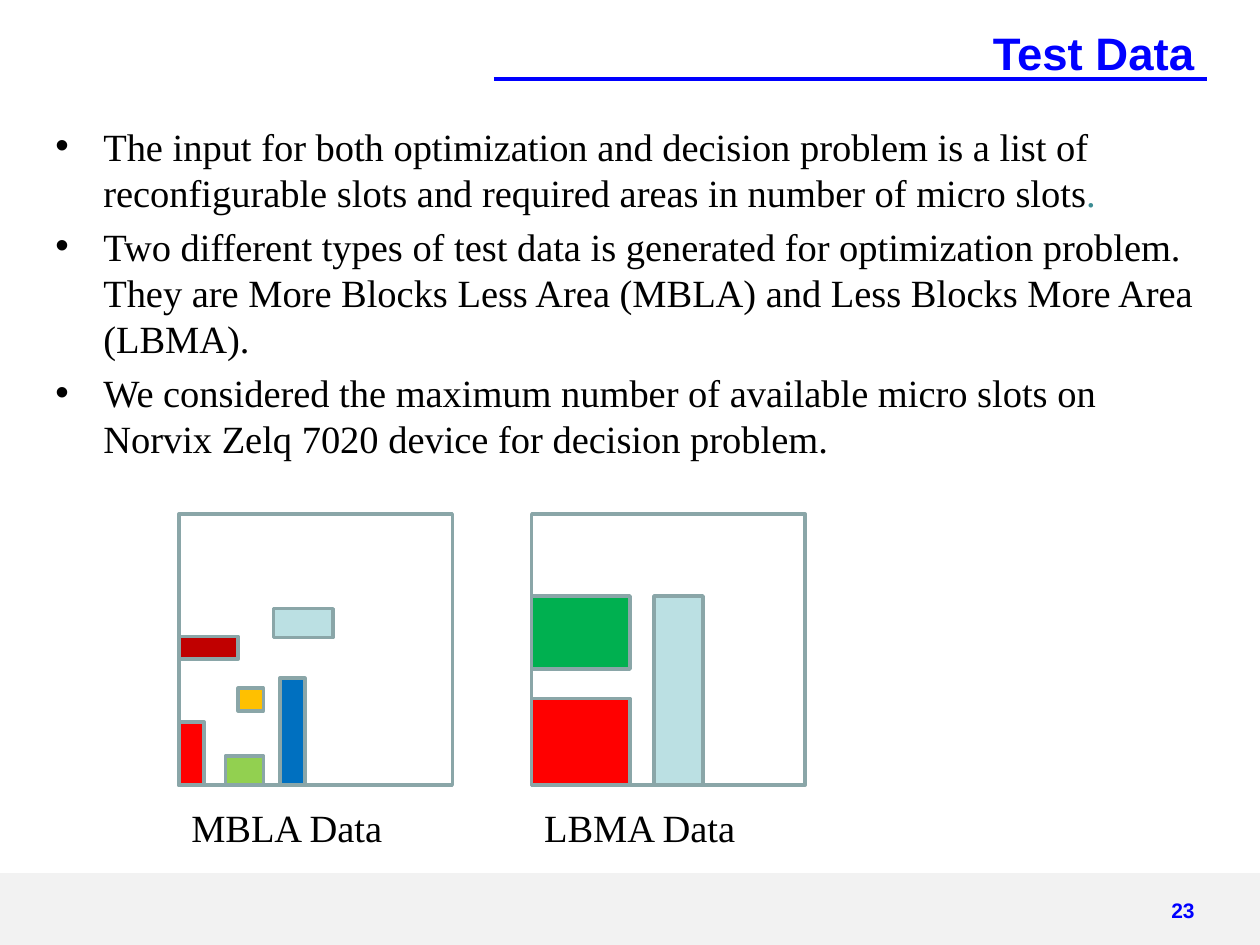
from collections import namedtuple

from lxml import etree
from pptx import Presentation
from pptx import util as u
from pptx.dml.color import RGBColor
from pptx.enum import shapes, text
from pptx.oxml.ns import qn

Box = namedtuple("Box", "left top width height")
SLIDE = Box(0, 0, u.Inches(10), u.Inches(7.5))

COLOURS = {
    "blue": "0000FF", "black": "000000", "teal": "3C8C93", "band": "F2F2F2",
    "outline": "8AA6A8", "red": "FF0000", "lime": "92D050", "amber": "FFC000",
    "azure": "0070C0", "maroon": "C00000", "pale": "BBE0E3", "green": "00B050",
}
HEADING = {"name": "Arial", "size": u.Pt(26), "bold": True}
NUMBER = {**HEADING, "size": u.Pt(12)}
PROSE = {"name": "Times New Roman", "size": u.Pt(22)}

BULLETS = [
    [("The input for both optimization and decision problem is a list of "
      "reconfigurable slots and required areas in number of micro slots", "black"),
     (".", "teal")],
    [("Two different types of test data is generated for optimization problem. "
      "They are More Blocks Less Area (MBLA) and Less Blocks More Area (LBMA).", "black")],
    [("We considered the maximum number of available micro slots on "
      "Norvix Zelq 7020 device for decision problem.", "black")],
]

# Each block: colour, then left, top, width and height in percent of its panel.
MBLA_BLOCKS = [
    ("red", 0, 76.7, 9.2, 23.3),
    ("lime", 17, 89.2, 14, 10.8),
    ("amber", 21.7, 64.2, 9.2, 8.4),
    ("azure", 36.9, 60.5, 9.2, 39.5),
    ("maroon", 0, 45.1, 21.7, 8.4),
    ("pale", 34.6, 34.9, 21.7, 10.7),
]
LBMA_BLOCKS = [
    ("red", 0, 68, 36, 32),
    ("pale", 44.7, 30.2, 18, 69.8),
    ("green", 0, 30.2, 36, 27),
]


def rgb(name):
    return RGBColor.from_string(COLOURS[name])


def part(box, left, top, width, height):
    """Return the box lying at these percentages of another box."""
    return Box(int(box.left + box.width * left / 100),
               int(box.top + box.height * top / 100),
               int(box.width * width / 100), int(box.height * height / 100))


def apply(target, values):
    for name, value in values.items():
        setattr(target, name, value)


def add_span(para, words, colour, font):
    span = para.add_run()
    span.text = words
    apply(span.font, font)
    span.font.color.rgb = rgb(colour)


def add_rectangle(page, box, fill=None, outline=None):
    shape = page.shapes.add_shape(shapes.MSO_SHAPE.RECTANGLE, *box)
    shape.shadow.inherit = False
    if fill:
        shape.fill.solid()
        shape.fill.fore_color.rgb = rgb(fill)
    else:
        shape.fill.background()
    if outline:
        shape.line.color.rgb = rgb(outline)
        shape.line.width = u.Pt(2)
    else:
        shape.line.fill.background()


def add_label(page, box, words, colour, font, align=text.PP_ALIGN.LEFT):
    frame = page.shapes.add_textbox(*box).text_frame
    frame.word_wrap = True
    para = frame.paragraphs[0]
    para.alignment = align
    add_span(para, words, colour, font)


def fill_title(page, box):
    title = page.shapes.title
    apply(title, box._asdict())
    apply(title.text_frame, {"vertical_anchor": text.MSO_ANCHOR.MIDDLE,
                             "auto_size": text.MSO_AUTO_SIZE.NONE})
    para = title.text_frame.paragraphs[0]
    para.alignment = text.PP_ALIGN.RIGHT
    add_span(para, "Test Data", "blue", HEADING)


def add_title_rule(page, box):
    rule = page.shapes.add_connector(shapes.MSO_CONNECTOR.STRAIGHT, box.left, box.top,
                                     box.left + box.width, box.top + box.height)
    rule.line.color.rgb = rgb("blue")
    rule.line.width = u.Pt(2.25)
    etree.SubElement(rule._element.spPr, qn("a:effectLst"))


def fill_body(page, box):
    body = page.placeholders[1]
    apply(body, box._asdict())
    frame = body.text_frame
    frame.auto_size = text.MSO_AUTO_SIZE.NONE
    for index, spans in enumerate(BULLETS):
        para = frame.add_paragraph() if index else frame.paragraphs[0]
        para.space_before = u.Pt(4.4)
        indent = u.Inches(0.38)
        properties = para._p.get_or_add_pPr()
        properties.set("marL", str(indent))
        properties.set("indent", str(-indent))
        etree.SubElement(properties, qn("a:buChar")).set("char", "•")
        for words, colour in spans:
            add_span(para, words, colour, PROSE)


def add_panel(page, box, caption, blocks):
    """Draw a framed area with its blocks and the caption below it."""
    add_rectangle(page, box, outline="outline")
    for colour, *place in blocks:
        add_rectangle(page, part(box, *place), colour, "outline")
    add_label(page, part(box, 0, 104.7, 107.4, 21.9), caption, "black", PROSE)


def add_footer(page, box):
    add_rectangle(page, box, "band")
    add_label(page, part(box, 90.2, 24.6, 5.6, 65), "23", "blue", NUMBER,
              text.PP_ALIGN.RIGHT)


def main():
    deck = Presentation()
    deck.slide_width, deck.slide_height = SLIDE.width, SLIDE.height
    page = deck.slides.add_slide(deck.slide_layouts[1])
    add_footer(page, part(SLIDE, 0, 92.4, 100, 7.6))
    add_title_rule(page, part(SLIDE, 39.2, 8.4, 56.6, 0))
    fill_title(page, part(SLIDE, 3.4, 1.1, 92.4, 8.9))
    fill_body(page, part(SLIDE, 3.4, 12.3, 92.4, 78.5))
    add_panel(page, part(SLIDE, 14.2, 54.4, 21.7, 28.7), "MBLA Data", MBLA_BLOCKS)
    add_panel(page, part(SLIDE, 42.2, 54.4, 21.7, 28.7), "LBMA Data", LBMA_BLOCKS)
    deck.save("out.pptx")


if __name__ == "__main__":
    main()
